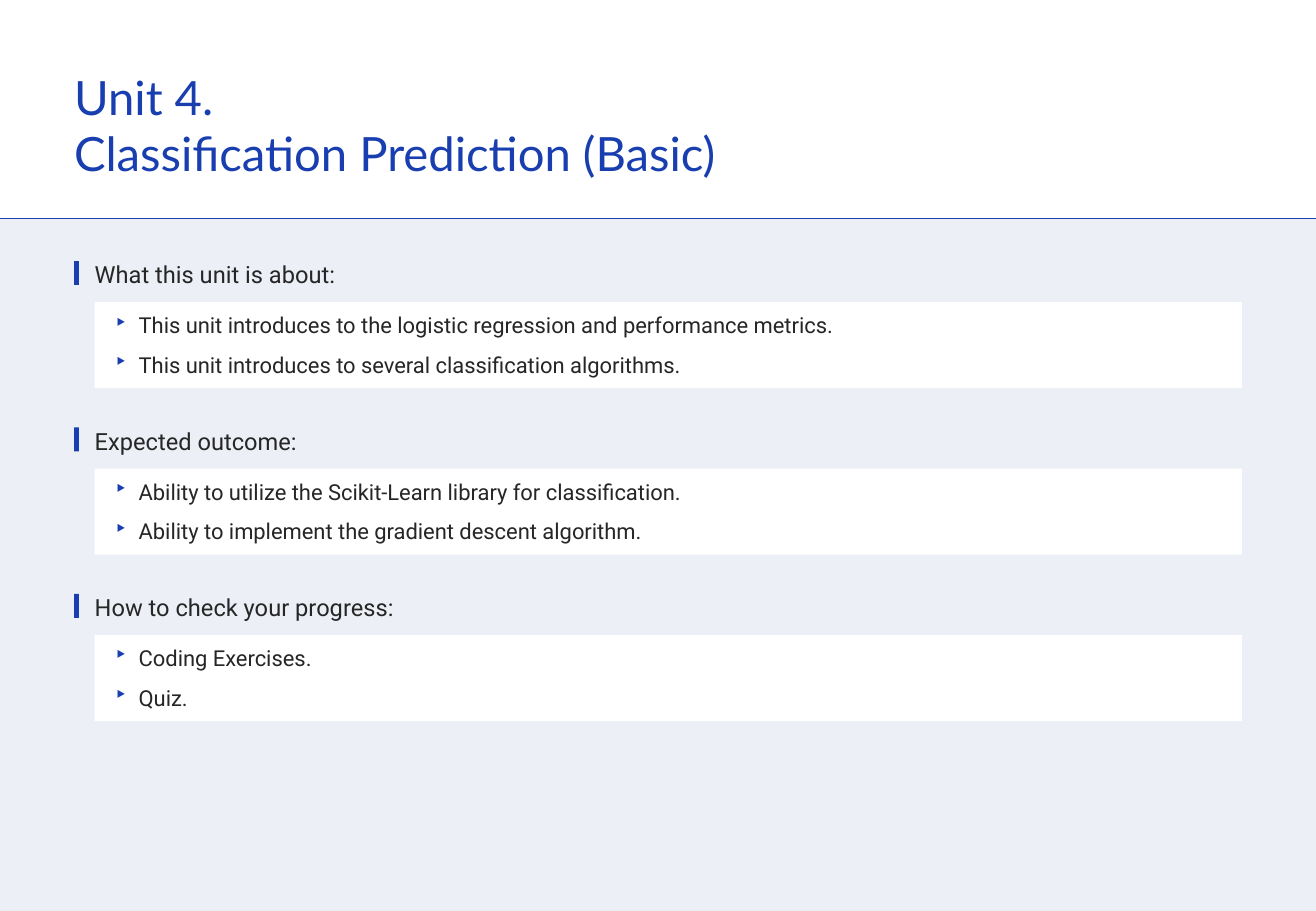
from dataclasses import dataclass

from lxml import etree
from pptx import Presentation
from pptx.dml.color import RGBColor
from pptx.enum.shapes import MSO_CONNECTOR, MSO_SHAPE
from pptx.enum.text import MSO_ANCHOR, MSO_AUTO_SIZE, PP_ALIGN
from pptx.oxml.ns import qn
from pptx.util import Cm, Pt

RECTANGLE = MSO_SHAPE.RECTANGLE
STRAIGHT = MSO_CONNECTOR.STRAIGHT
TOP = MSO_ANCHOR.TOP
GROW = MSO_AUTO_SIZE.SHAPE_TO_FIT_TEXT
LEFT = PP_ALIGN.LEFT

WIDTH, HEIGHT = 27.51, 19.05
HEADER_HEIGHT = 4.57
MARGIN, INDENT = 1.55, 1.98
SECTION_TOP, SECTION_STEP = 5.44, 3.48

TITLE = ["Unit 4.", "Classification Prediction (Basic)"]
SECTIONS = [
    ("What this unit is about:", [
        "This unit introduces to the logistic regression and performance metrics.",
        "This unit introduces to several classification algorithms.",
    ]),
    ("Expected outcome:", [
        "Ability to utilize the Scikit-Learn library for classification.",
        "Ability to implement the gradient descent algorithm.",
    ]),
    ("How to check your progress:", ["Coding Exercises.", "Quiz."]),
]


@dataclass(frozen=True)
class Theme:
    """Colours, fonts and type sizes of the deck."""
    accent: str = "193EB0"
    ink: str = "262626"
    panel: str = "ECEFF6"
    paper: str = "FFFFFF"
    title_font: str = "Lato"
    body_font: str = "Roboto"
    title_size: int = 28
    heading_size: int = 14
    body_size: int = 13


def add_bullet(para, color):
    """Give a paragraph a hanging triangular bullet."""
    properties = para._p.get_or_add_pPr()
    properties.set("marL", str(Cm(0.51)))
    properties.set("indent", str(-Cm(0.51)))
    bullet_color = etree.SubElement(properties, qn("a:buClr"))
    etree.SubElement(bullet_color, qn("a:srgbClr"), val=color)
    etree.SubElement(properties, qn("a:buChar"), char="‣")


def write(box, lines, *, font, size, color, after=0, inset=(0, 0), bullet=None):
    """Fill a box with one formatted paragraph per line."""
    frame = box.text_frame
    frame.word_wrap = True
    frame.auto_size = GROW
    frame.vertical_anchor = TOP
    frame.margin_left = frame.margin_right = Cm(inset[0])
    frame.margin_top = frame.margin_bottom = Cm(inset[1])
    for index, line in enumerate(lines):
        para = frame.add_paragraph() if index else frame.paragraphs[0]
        if bullet:
            add_bullet(para, bullet)
        para.alignment = LEFT
        para.space_after = Pt(after)
        span = para.add_run()
        span.text = line
        span.font.name = font
        span.font.size = Pt(size)
        span.font.color.rgb = RGBColor.from_string(color)


class UnitSlide:
    """Draws the elements of a unit overview slide."""

    def __init__(self, page, theme):
        """Keep the page and its theme."""
        self.page = page
        self.theme = theme

    def group(self):
        """Return the shapes of a new group."""
        return self.page.shapes.add_group_shape().shapes

    def block(self, shapes, left, top, width, height, color):
        """Add a plain filled rectangle."""
        box = shapes.add_shape(RECTANGLE, Cm(left), Cm(top), Cm(width), Cm(height))
        box.shadow.inherit = False
        box.fill.solid()
        box.fill.fore_color.rgb = RGBColor.from_string(color)
        box.line.fill.background()
        return box

    def rule(self, shapes, top):
        """Add a thin line across the page."""
        line = shapes.add_connector(STRAIGHT, 0, Cm(top), Cm(WIDTH), Cm(top))
        line.line.color.rgb = RGBColor.from_string(self.theme.accent)
        line.line.width = Pt(0.5)
        etree.SubElement(line._element.spPr, qn("a:effectLst"))

    def backdrop(self):
        """Add the tinted body area and its upper edge."""
        shapes = self.group()
        self.block(shapes, 0, HEADER_HEIGHT, WIDTH, HEIGHT - HEADER_HEIGHT, self.theme.panel)
        self.rule(shapes, HEADER_HEIGHT)

    def title(self, lines):
        """Add the slide title."""
        box = self.page.shapes.add_textbox(Cm(MARGIN), Cm(1.42), Cm(24.41), Cm(2.39))
        write(box, lines, font=self.theme.title_font, size=self.theme.title_size,
              color=self.theme.accent)

    def section(self, top, heading, items):
        """Add a marked heading above a white bulleted panel."""
        theme, shapes = self.theme, self.group()
        width = 23.98
        self.block(shapes, MARGIN, top + 0.02, 0.1, 0.5, theme.accent)
        label = shapes.add_textbox(Cm(INDENT), Cm(top), Cm(width), Cm(0.6))
        write(label, [heading], font=theme.body_font, size=theme.heading_size,
              color=theme.ink, after=6)
        panel = self.block(shapes, INDENT, top + 0.88, width, 1.8, theme.paper)
        write(panel, items, font=theme.body_font, size=theme.body_size, color=theme.ink,
              after=8, inset=(0.41, 0.2), bullet=theme.accent)


def main():
    """Build and save the deck."""
    deck = Presentation()
    deck.slide_width, deck.slide_height = Cm(WIDTH), Cm(HEIGHT)
    slide = UnitSlide(deck.slides.add_slide(deck.slide_layouts[6]), Theme())
    slide.backdrop()
    slide.title(TITLE)
    for index, (heading, items) in enumerate(SECTIONS):
        slide.section(SECTION_TOP + index * SECTION_STEP, heading, items)
    deck.save("out.pptx")


if __name__ == "__main__":
    main()
